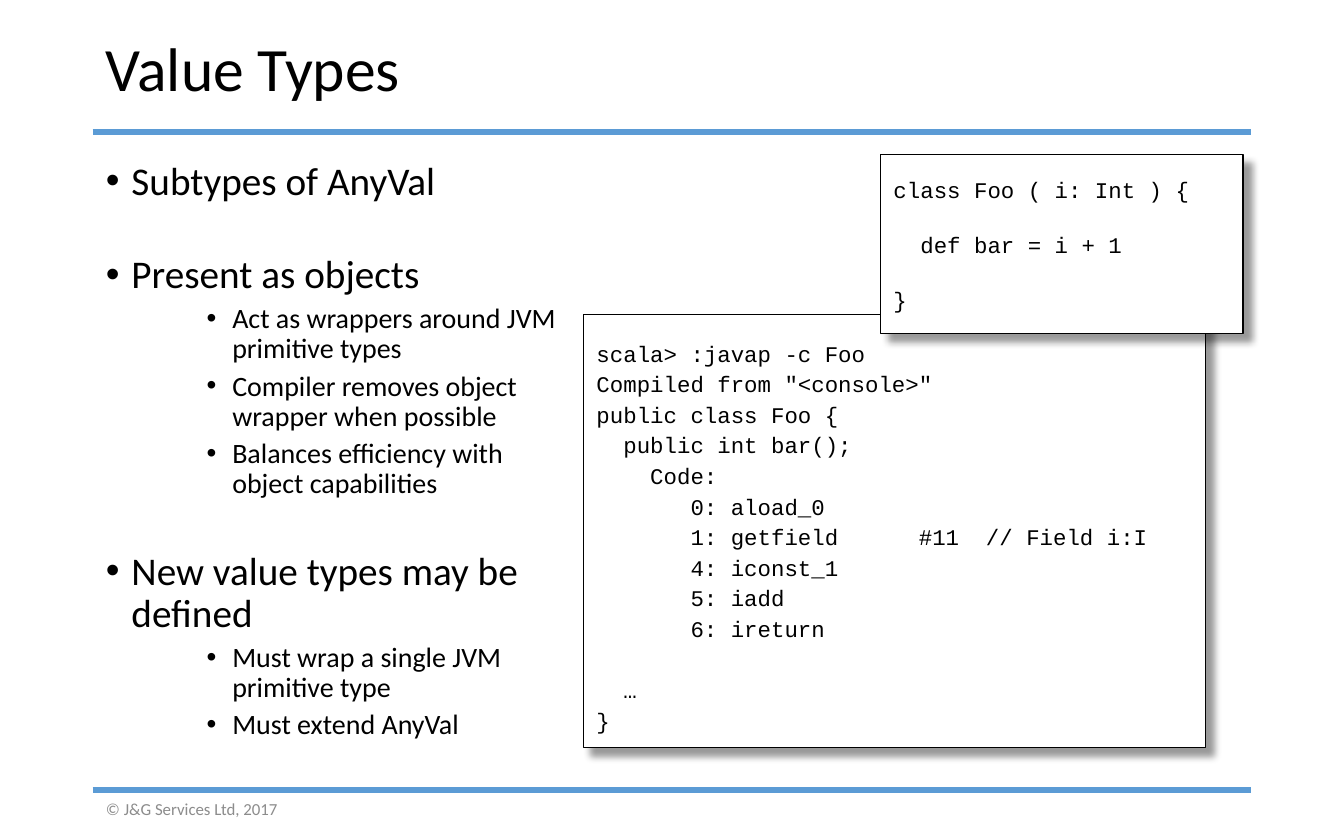
import lxml.etree
import pptx
import pptx.dml.color
import pptx.enum.shapes
import pptx.enum.text
import pptx.oxml
import pptx.oxml.ns
import pptx.util
from pptx.util import Inches

BLACK = pptx.dml.color.RGBColor(0x00, 0x00, 0x00)
WHITE = pptx.dml.color.RGBColor(0xFF, 0xFF, 0xFF)
BLUE = pptx.dml.color.RGBColor(0x5B, 0x9B, 0xD5)
GREY = pptx.dml.color.RGBColor(0x8C, 0x8C, 0x8C)
DRAWING = 'xmlns:a="http://schemas.openxmlformats.org/drawingml/2006/main"'
SHADOW = (
    f'<a:effectLst {DRAWING}><a:outerShdw blurRad="50800" dist="76200" dir="2700000" '
    'algn="tl" rotWithShape="0"><a:srgbClr val="000000"><a:alpha val="40000"/>'
    '</a:srgbClr></a:outerShdw></a:effectLst>'
)
LEFT, WIDTH = 0.69, 8.62


def add_text_box(left, top, width, height, anchor):
    box = slide.shapes.add_textbox(
        Inches(left), Inches(top), Inches(width), Inches(height))
    box.text_frame.word_wrap = True
    box.text_frame.vertical_anchor = anchor
    return box.text_frame


def format_runs(paragraph, size, color=BLACK, name="Calibri"):
    for run in paragraph.runs:
        run.font.size = pptx.util.Pt(size)
        run.font.name = name
        run.font.color.rgb = color


presentation = pptx.Presentation()
presentation.slide_width = Inches(10)
presentation.slide_height = Inches(6.25)
slide = presentation.slides.add_slide(presentation.slide_layouts[6])
middle = pptx.enum.text.MSO_ANCHOR.MIDDLE
top_anchor = pptx.enum.text.MSO_ANCHOR.TOP

# Rules under the title and above the footer
for y in (0.98, 5.88):
    rule = slide.shapes.add_connector(
        pptx.enum.shapes.MSO_CONNECTOR.STRAIGHT,
        Inches(LEFT), Inches(y), Inches(LEFT + WIDTH), Inches(y))
    rule.line.color.rgb = BLUE
    rule.line.width = pptx.util.Pt(3)
    lxml.etree.SubElement(
        rule._element.spPr, pptx.oxml.ns.qn("a:effectLst"))

# Footer and title
for text, top, width, height, size, color in (
    ("© J&G Services Ltd, 2017", 5.91, 2.25, 0.21, 9, GREY),
    ("Value Types", 0.18, WIDTH, 0.7, 33, BLACK),
):
    frame = add_text_box(LEFT, top, width, height, middle)
    frame.text = text
    frame.paragraphs[0].line_spacing = 0.9 if size > 9 else 1.0
    format_runs(frame.paragraphs[0], size, color)

# Bullets: heading, then its points; \v breaks a line
topics = [
    ("Subtypes of AnyVal", []),
    ("Present as objects", [
        "Act as wrappers around JVM \vprimitive types",
        "Compiler removes object \vwrapper when possible",
        "Balances efficiency with \vobject capabilities",
    ]),
    ("New value types may be\vdefined", [
        "Must wrap a single JVM \vprimitive type",
        "Must extend AnyVal",
    ]),
]
body = add_text_box(LEFT, 1.15, 4.9, 4.61, top_anchor)
bullets = []
for heading, points in topics:
    bullets.append((heading, 0.19, 21, 27.5 if bullets else 0))
    bullets += [(point, 0.94, 15, 3.8) for point in points]
for index, (text, indent, size, space_before) in enumerate(bullets):
    paragraph = body.add_paragraph() if index else body.paragraphs[0]
    paragraph.text = text
    properties = paragraph._p.get_or_add_pPr()
    properties.set("marL", str(Inches(indent)))
    properties.set("indent", str(Inches(-0.19)))
    properties.append(pptx.oxml.parse_xml(f'<a:buFont {DRAWING} typeface="Arial"/>'))
    properties.append(pptx.oxml.parse_xml(f'<a:buChar {DRAWING} char="•"/>'))
    paragraph.line_spacing = 0.9
    paragraph.space_before = pptx.util.Pt(space_before)
    format_runs(paragraph, size)

# Code panels, back to front; an empty line becomes space before the next one
console = """scala> :javap -c Foo
Compiled from "<console>"
public class Foo {
  public int bar();
    Code:
       0: aload_0
       1: getfield      #11  // Field i:I
       4: iconst_1
       5: iadd
       6: ireturn

  …
}"""
definition = """class Foo ( i: Int ) {

  def bar = i + 1

}"""
for code, left, top, width, height, line_spacing, gap in (
    (console, 4.34, 2.34, 4.63, 3.22, pptx.util.Pt(16.4), 16.4),
    (definition, 6.55, 1.15, 2.7, 1.33, 1.0, 15),
):
    panel = slide.shapes.add_shape(
        pptx.enum.shapes.MSO_SHAPE.RECTANGLE,
        Inches(left), Inches(top), Inches(width), Inches(height))
    panel.fill.solid()
    panel.fill.fore_color.rgb = WHITE
    panel.line.color.rgb = BLACK
    panel.line.width = pptx.util.Pt(0.75)
    panel._element.spPr.append(pptx.oxml.parse_xml(SHADOW))
    frame = panel.text_frame
    frame.word_wrap = True
    frame.vertical_anchor = top_anchor
    frame.margin_left = frame.margin_right = Inches(0.1)
    frame.margin_top = frame.margin_bottom = Inches(0.16)
    lines = code.split("\n")
    for index, line in enumerate(lines):
        if not line:
            continue
        paragraph = frame.add_paragraph() if index else frame.paragraphs[0]
        paragraph.text = line
        paragraph.alignment = pptx.enum.text.PP_ALIGN.LEFT
        paragraph.line_spacing = line_spacing
        if index and not lines[index - 1]:
            paragraph.space_before = pptx.util.Pt(gap)
        format_runs(paragraph, 12, name="Courier New")

presentation.save("out.pptx")
